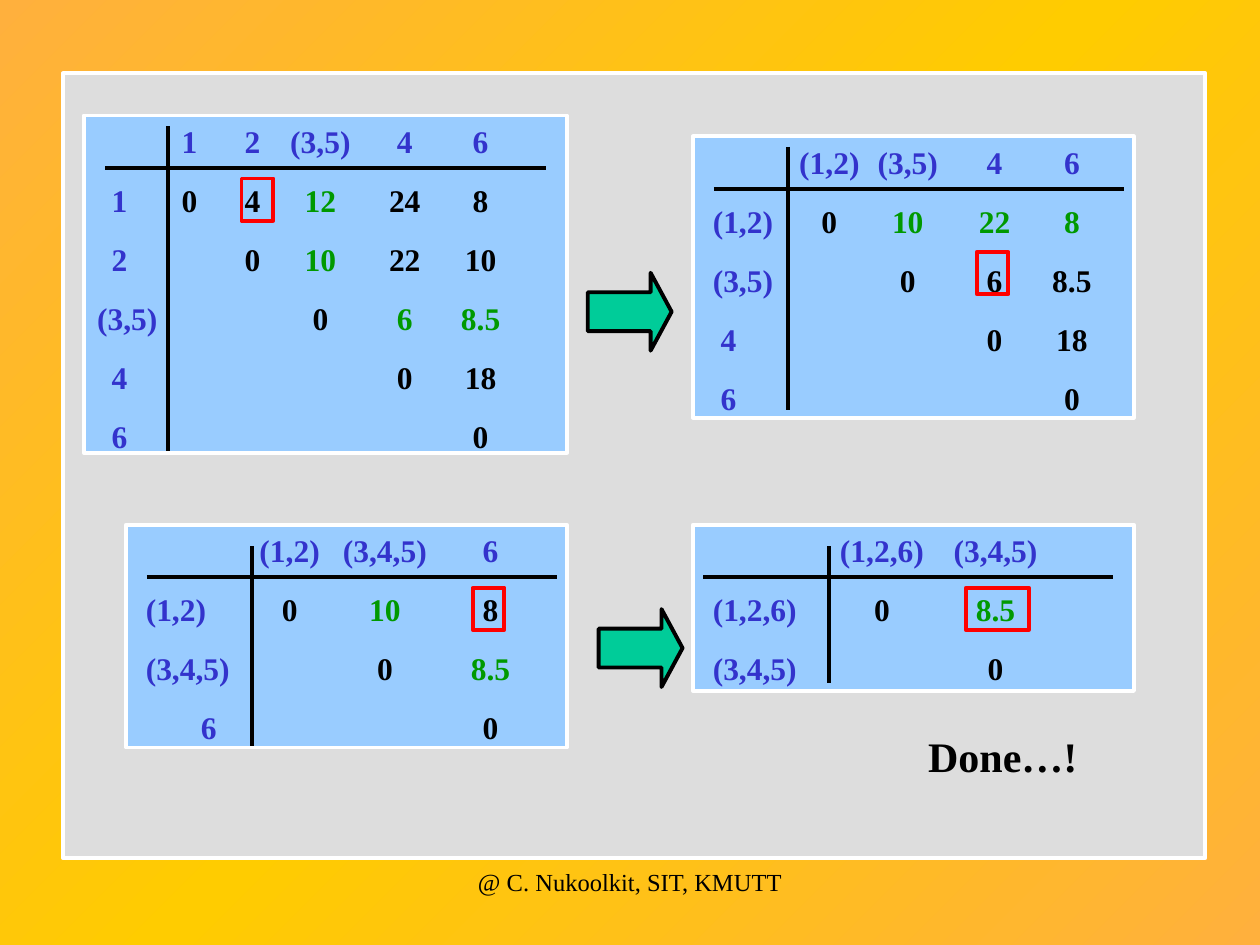
import copy

import pptx
import pptx.dml.color
import pptx.enum.shapes
import pptx.enum.text
import pptx.oxml
import pptx.oxml.ns
import pptx.util

Cm = pptx.util.Cm
Pt = pptx.util.Pt
colour = pptx.dml.color.RGBColor.from_string
SHAPES = pptx.enum.shapes.MSO_SHAPE
BLUE, GREEN, BLACK, RED = "3333CC", "009900", "000000", "FF0000"

presentation = pptx.Presentation()
presentation.slide_width, presentation.slide_height = Cm(25.4), Cm(19.05)
slide = presentation.slides.add_slide(presentation.slide_layouts[6])


def add_shape(kind, box, fill, line):
    shape = slide.shapes.add_shape(kind, *[Cm(value) for value in box])
    shape.shadow.inherit = False
    if fill:
        shape.fill.solid()
        shape.fill.fore_color.rgb = colour(fill)
    else:
        shape.fill.background()
    shape.line.color.rgb = colour(line)
    shape.line.width = Pt(2.25)
    return shape


def add_run(paragraph, text, text_colour, size=18, bold=True):
    run = paragraph.add_run()
    run.text = text
    font_format = {"name": "Times New Roman", "size": Pt(size), "bold": bold}
    for attribute, value in font_format.items():
        setattr(run.font, attribute, value)
    run.font.color.rgb = colour(text_colour)


# Background gradient: orange, yellow, orange
background = slide.background.fill
background.gradient()
background.gradient_angle = 135
stops = background.gradient_stops
first_stop = stops[0]._gs
first_stop.addnext(copy.deepcopy(first_stop))
for stop, (position, stop_colour) in zip(
    background.gradient_stops, [(0, "FFB03D"), (0.5, "FFCC00"), (1, "FFB03D")]
):
    stop.position = position
    stop.color.rgb = colour(stop_colour)

# Panel
add_shape(SHAPES.RECTANGLE, (1.27, 1.48, 23.03, 15.82), "DDDDDD", "FFFFFF")

# Distance matrices; "columns" are centres, each row is (label offset, label,
# upper triangle values), and * marks a value that has been updated
matrices = [
    {
        "box": (1.69, 2.33, 9.74, 6.8),
        "columns": [1.88, 3.15, 4.52, 6.22, 7.75],
        "header": ["1", "2", "(3,5)", "4", "6"],
        "rows": [
            (0.31, "1", ["0", "4", "12*", "24", "8"]),
            (0.31, "2", ["0", "10*", "22", "10"]),
            (0.02, "(3,5)", ["0", "6*", "8.5*"]),
            (0.31, "4", ["0", "18"]),
            (0.31, "6", ["0"]),
        ],
        "lines": [(3.39, 2.54, 3.39, 9.1), (2.12, 3.39, 11.01, 3.39)],
        "minimum": (4.87, 3.6, 0.64, 0.85),
    },
    {
        "box": (13.97, 2.75, 8.89, 5.67),
        "columns": [2.5, 4.08, 5.83, 7.39],
        "header": ["(1,2)", "(3,5)", "4", "6"],
        "rows": [
            (0.15, "(1,2)", ["0", "10*", "22*", "8*"]),
            (0.15, "(3,5)", ["0", "6", "8.5"]),
            (0.31, "4", ["0", "18"]),
            (0.31, "6", ["0"]),
        ],
        "lines": [(15.88, 2.96, 15.88, 8.26), (14.39, 3.81, 22.65, 3.81)],
        "minimum": (19.69, 5.08, 0.64, 0.85),
    },
    {
        "box": (2.54, 10.58, 8.89, 4.49),
        "columns": [3.05, 4.97, 7.1],
        "header": ["(1,2)", "(3,4,5)", "6"],
        "rows": [
            (0.15, "(1,2)", ["0", "10*", "8"]),
            (0.15, "(3,4,5)", ["0", "8.5*"]),
            (1.26, "6", ["0"]),
        ],
        "lines": [(5.08, 11.01, 5.08, 15.03), (2.96, 11.64, 11.22, 11.64)],
        "minimum": (9.53, 11.85, 0.64, 0.85),
    },
    {
        "box": (13.97, 10.58, 8.89, 3.35),
        "columns": [3.56, 5.85],
        "header": ["(1,2,6)", "(3,4,5)"],
        "rows": [
            (0.15, "(1,2,6)", ["0", "8.5*"]),
            (0.15, "(3,4,5)", ["0"]),
        ],
        "lines": [(16.72, 11.01, 16.72, 13.76), (14.18, 11.64, 22.44, 11.64)],
        "minimum": (19.47, 11.85, 1.27, 0.85),
    },
]
for matrix in matrices:
    shape = add_shape(SHAPES.RECTANGLE, matrix["box"], "99CCFF", "FFFFFF")
    frame = shape.text_frame
    frame.word_wrap = True
    frame.vertical_anchor = pptx.enum.text.MSO_ANCHOR.TOP
    columns = matrix["columns"]
    rows = [(0.15, "", matrix["header"])] + matrix["rows"]
    for index, (offset, label, values) in enumerate(rows):
        paragraph = frame.add_paragraph() if index else frame.paragraphs[0]
        tab_list = pptx.oxml.parse_xml(
            "<a:tabLst %s/>" % pptx.oxml.ns.nsdecls("a"))
        for position, alignment in [(offset, "l")] + [(c, "ctr") for c in columns]:
            tab = tab_list.makeelement(pptx.oxml.ns.qn("a:tab"), {
                "pos": str(int(Cm(position))), "algn": alignment})
            tab_list.append(tab)
        paragraph._p.get_or_add_pPr().append(tab_list)
        paragraph.alignment = pptx.enum.text.PP_ALIGN.LEFT
        paragraph.space_before = Pt(12.2 if index else 0)
        add_run(paragraph, "\t" + label, BLUE)
        skipped = len(columns) - len(values)
        for number, value in enumerate(values):
            tabs = "\t" * (1 if number else skipped + 1)
            value_colour = GREEN if value.endswith("*") else BLACK
            add_run(paragraph, tabs + value.rstrip("*"),
                    value_colour if index else BLUE)

    # Axis lines and the frame around the smallest distance
    for ends in matrix["lines"]:
        line = slide.shapes.add_connector(
            pptx.enum.shapes.MSO_CONNECTOR.STRAIGHT, *[Cm(end) for end in ends])
        line.line.color.rgb = colour(BLACK)
        line.line.width = Pt(2.25)
        line._element.spPr.append(pptx.oxml.parse_xml(
            "<a:effectLst %s/>" % pptx.oxml.ns.nsdecls("a")))
    add_shape(SHAPES.RECTANGLE, matrix["minimum"], None, RED)

# Arrows between steps
for left, top in [(11.85, 5.5), (12.07, 12.28)]:
    arrow = add_shape(SHAPES.RIGHT_ARROW, (left, top, 1.69, 1.57), "00CC99", BLACK)
    arrow.adjustments[0], arrow.adjustments[1] = 0.5, 0.27

# Closing remark and footer
for text, box, size, bold in [
    ("Done…!", (18.2, 14.6, 4.03, 1.27), 24, True),
    ("@ C. Nukoolkit, SIT, KMUTT", (8.68, 17.36, 8.04, 1.27), 14, False),
]:
    text_box = slide.shapes.add_textbox(*[Cm(value) for value in box])
    text_box.text_frame.word_wrap = True
    paragraph = text_box.text_frame.paragraphs[0]
    paragraph.alignment = pptx.enum.text.PP_ALIGN.CENTER
    add_run(paragraph, text, BLACK, size, bold)

presentation.save("out.pptx")
